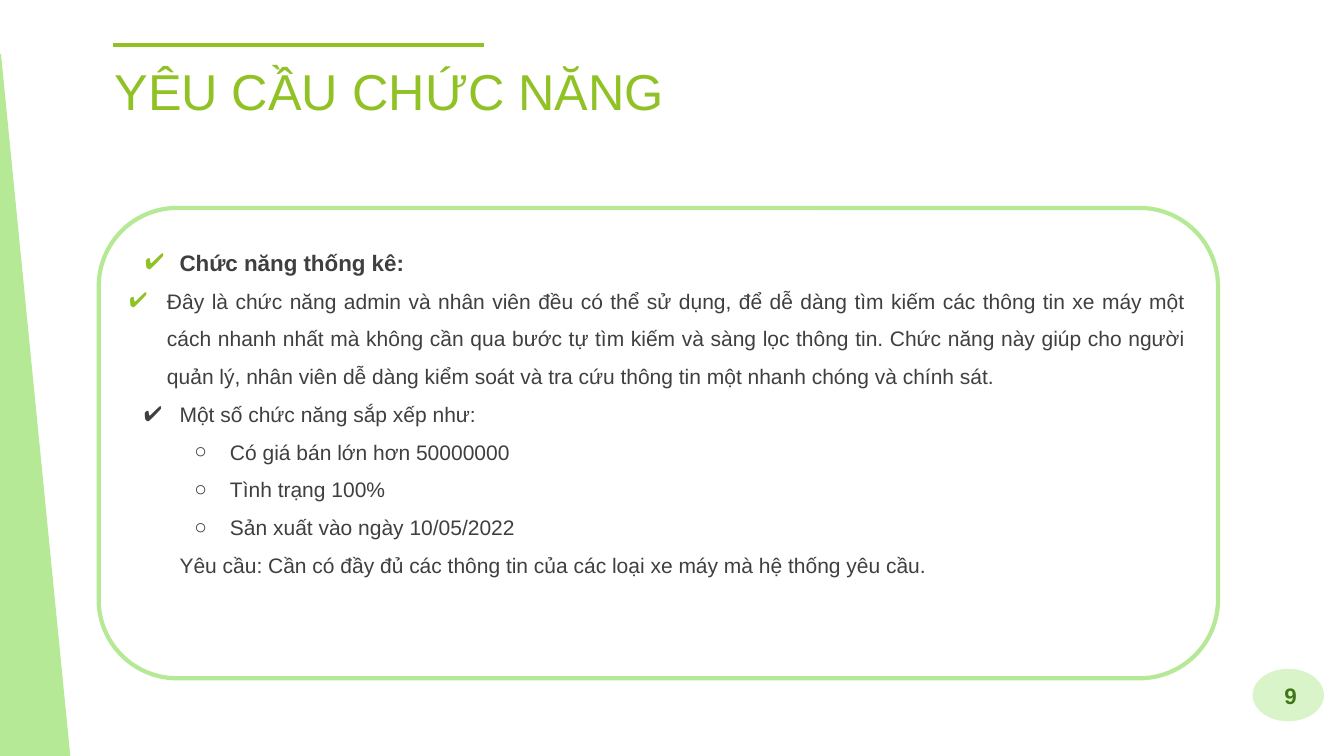
from lxml.etree import SubElement as Sub
from pptx import Presentation
from pptx.dml.color import RGBColor as RGB
from pptx.enum.shapes import MSO_CONNECTOR as Conn, MSO_SHAPE as Kind
from pptx.enum.text import MSO_ANCHOR as Anchor, MSO_AUTO_SIZE as Fit, PP_ALIGN as Align
from pptx.oxml.ns import qn
from pptx.util import Pt

PX = 9525
WHITE = RGB(0xFF, 0xFF, 0xFF)
LIME = RGB(0x90, 0xC2, 0x26)
MINT = RGB(0xB6, 0xE9, 0x95)
PALE = RGB(0xD9, 0xF4, 0xC9)
DEEP = RGB(0x3F, 0x78, 0x18)
GREY = RGB(0x3F, 0x3F, 0x3F)

# text, left margin, first-line indent, bullet, bullet colour, level
ITEMS = [
    ("Chức năng thống kê:", 48, -33, "✔", LIME, 0),
    ("Đây là chức năng admin và nhân viên đều có thể sử dụng, để dễ dàng "
     "tìm kiếm các thông tin xe máy một cách nhanh nhất mà không cần qua "
     "bước tự tìm kiếm và sàng lọc thông tin. Chức năng này giúp cho người "
     "quản lý, nhân viên dễ dàng kiểm soát và tra cứu thông tin một nhanh "
     "chóng và chính sát.", 36, -36, "✔", LIME, 0),
    ("Một số chức năng sắp xếp như:", 48, -34, "✔", GREY, 0),
    ("Có giá bán lớn hơn 50000000", 96, -34, "○", GREY, 1),
    ("Tình trạng 100%", 96, -34, "○", GREY, 1),
    ("Sản xuất vào ngày 10/05/2022", 96, -34, "○", GREY, 1),
    ("Yêu cầu: Cần có đầy đủ các thông tin của các loại xe máy mà hệ thống "
     "yêu cầu.", 48, 0, None, GREY, 0),
]


class Deck:
    font = "Arial"

    def __init__(self, wide, high):
        self.prs = Presentation()
        self.prs.slide_width = wide * PX
        self.prs.slide_height = high * PX
        self.slide = self.prs.slides.add_slide(self.prs.slide_layouts[1])

    def place(self, item, box):
        item.left, item.top, item.width, item.height = (n * PX for n in box)

    def shape(self, kind, box, fill, edge, width):
        item = self.slide.shapes.add_shape(kind, *(n * PX for n in box))
        item.shadow.inherit = False
        item.fill.solid()
        item.fill.fore_color.rgb = fill
        item.line.color.rgb = edge
        item.line.width = Pt(width)

    def rule(self, left, right, top, color, width):
        item = self.slide.shapes.add_connector(
            Conn.STRAIGHT, left * PX, top * PX, right * PX, top * PX)
        item.line.color.rgb = color
        item.line.width = Pt(width)
        Sub(item.element.spPr, qn("a:effectLst"))

    def style(self, para, size, color, bold=False):
        for run in para.runs:
            run.font.name = self.font
            run.font.size = Pt(size)
            run.font.bold = bold
            run.font.color.rgb = color

    def frame(self, item, inset, anchor):
        frame = item.text_frame
        frame.word_wrap = True
        frame.auto_size = Fit.NONE
        frame.vertical_anchor = anchor
        frame.margin_left = frame.margin_right = 10 * PX
        frame.margin_top = frame.margin_bottom = inset * PX
        return frame

    def holder(self, item, box):
        self.place(item, box)
        item.element.getparent().append(item.element)  # bring to front
        return self.frame(item, 10, Anchor.TOP)

    def title(self, text, box):
        frame = self.holder(self.slide.shapes.title, box)
        frame.text = text
        para = frame.paragraphs[0]
        para.alignment = Align.LEFT
        self.style(para, 36, LIME)

    def label(self, text, box):
        item = self.slide.shapes.add_textbox(*(n * PX for n in box))
        frame = self.frame(item, 5, Anchor.MIDDLE)
        frame.text = text
        para = frame.paragraphs[0]
        para.alignment = Align.RIGHT
        self.style(para, 16, DEEP, True)

    def bullet(self, para, left, first, mark, color):
        props = para._p.get_or_add_pPr()
        props.set("marL", str(left * PX))
        props.set("indent", str(first * PX))
        if mark is None:
            Sub(props, qn("a:buNone"))
            return
        Sub(Sub(props, qn("a:buClr")), qn("a:srgbClr"), val=str(color))
        Sub(props, qn("a:buFont"), typeface=self.font)
        Sub(props, qn("a:buChar"), char=mark)

    def list(self, items, box):
        frame = self.holder(self.slide.placeholders[1], box)
        frame.text = "\n".join(item[0] for item in items)
        for i, (para, item) in enumerate(zip(frame.paragraphs, items)):
            text, left, first, mark, color, level = item
            para.level = level
            para.alignment = Align.JUSTIFY
            para.line_spacing = 1.5
            para.space_before = para.space_after = Pt(0)
            self.bullet(para, left, first, mark, color)
            head = i == 0
            self.style(para, 16 if head else 15, GREY, head)


def main():
    deck = Deck(1280, 720)

    # Card
    deck.shape(Kind.ROUNDED_RECTANGLE, (94, 198, 1066, 448), WHITE, MINT, 3)

    # Page number
    deck.shape(Kind.OVAL, (1194, 638, 66, 48), PALE, PALE, 1.5)
    deck.label("9", (1164, 638, 81, 48))

    # Side wedge
    deck.shape(Kind.RIGHT_TRIANGLE, (0, 52, 66, 668), MINT, MINT, 1.5)

    # Title under its rule
    deck.title("YÊU CẦU CHỨC NĂNG", (99, 47, 553, 99))
    deck.rule(108, 461, 43, LIME, 3)

    # Body list
    deck.list(ITEMS, (113, 214, 1026, 385))

    deck.prs.save("out.pptx")


if __name__ == "__main__":
    main()
